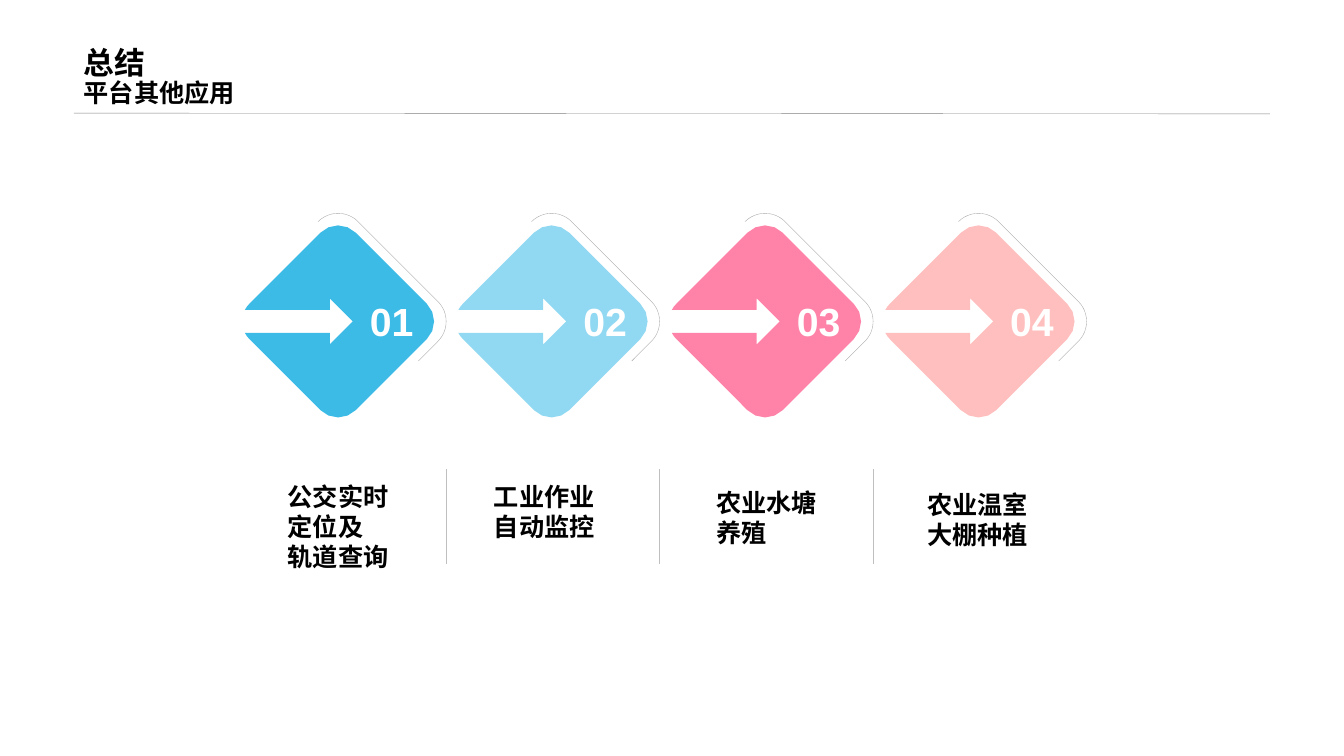
import math

import pptx
import pptx.dml.color
import pptx.enum.shapes
import pptx.enum.text
import pptx.util
from lxml import etree

Cm = pptx.util.Cm
Pt = pptx.util.Pt
qn = pptx.oxml.ns.qn

STEPS = [("01", "3CBBE7"), ("02", "91D8F2"), ("03", "FF83A8"), ("04", "FFBFBE")]
# Left, top, width and height in cm, then the paragraphs
CAPTIONS = [
    ((7, 12, 3.1, 2.46), "公交实时定位及\n轨道查询"),
    ((12.2, 12, 3.1, 2.46), "工业作业自动监控"),
    ((17.8, 12.15, 3.2, 2.46), "农业水塘养殖"),
    ((23.12, 12.2, 3.18, 1.73), "农业温室\n大棚种植"),
]
PITCH = 5.38


def color(value):
    return pptx.dml.color.RGBColor.from_string(value)


def add_text(shapes, area, text, sizes, ink="000000", wrap=True):
    box = shapes.add_textbox(*[Cm(length) for length in area])
    frame = box.text_frame
    frame.word_wrap = wrap
    frame.text = text
    for para, size in zip(frame.paragraphs, sizes):
        for span in para.runs:
            span.font.name = "Arial"
            span.font.size = Pt(size)
            span.font.bold = True
            span.font.color.rgb = color(ink)
    return frame


def add_rule(page, start, end, ink):
    ends = [Cm(length) for length in (*start, *end)]
    rule = page.shapes.add_connector(pptx.enum.shapes.MSO_CONNECTOR.STRAIGHT, *ends)
    rule.line.color.rgb = color(ink)
    rule.line.width = Pt(0.25)
    etree.SubElement(rule._element.spPr, qn("a:effectLst"))


def arc(x, y, radius, start, end, pieces=4):
    """Points along a circle; degrees run clockwise from the right."""
    angles = [math.radians(start + (end - start) * i / pieces) for i in range(pieces + 1)]
    return [(x + radius * math.cos(a), y + radius * math.sin(a)) for a in angles]


def add_header(page, left, bottom, width):
    frame = add_text(page.shapes, (left, 0, width, bottom), "总结\n平台其他应用", (22, 18))
    frame.vertical_anchor = pptx.enum.text.MSO_ANCHOR.BOTTOM
    for para in frame.paragraphs:
        para.line_spacing = 0.9
    add_rule(page, (left, bottom), (left + width, bottom + 0.02), "808080")


def add_border(shapes, x, y, side):
    """Turned square whose single long dash covers the upper right."""
    corner = (Cm(x - side / 2), Cm(y - side / 2))
    kind = pptx.enum.shapes.MSO_SHAPE.ROUNDED_RECTANGLE
    border = shapes.add_shape(kind, *corner, Cm(side), Cm(side))
    border.adjustments[0] = 0.167
    border.rotation = 45
    border.shadow.inherit = False
    border.fill.background()
    border.line.color.rgb = color("A6A6A6")
    border.line.width = Pt(0.25)
    # Dash and gap in thousandths of a percent of the line width
    dashes = etree.SubElement(border.line._get_or_add_ln(), qn("a:custDash"))
    etree.SubElement(dashes, qn("a:ds"), d="64200000", sp="180000000")


def add_diamond(shapes, x, y, fill):
    """Rounded diamond with an arrow cut in from the left."""
    reach, radius, shaft, head = 1.79, 0.63, 0.29, 0.58
    cut = math.degrees(math.asin(shaft / radius))
    arrow = [(-0.21, shaft), (-0.21, head), (0.37, 0), (-0.21, -head), (-0.21, -shaft)]
    body = (
        arc(-reach, 0, radius, 180 + cut, 225, 2)
        + arc(0, -reach, radius, 225, 315)
        + arc(reach, 0, radius, -45, 45)
        + arc(0, reach, radius, 45, 135)
        + arc(-reach, 0, radius, 135, 180 - cut, 2)
        + arrow
    )
    # Draw as an upright square, then turn it
    turn = math.sqrt(0.5)
    spots = [(Cm(x + (dx + dy) * turn), Cm(y + (dy - dx) * turn)) for dx, dy in body]
    builder = shapes.build_freeform(*spots[0])
    builder.add_line_segments(spots[1:], close=True)
    diamond = builder.convert_to_shape()
    diamond.rotation = 45
    diamond.shadow.inherit = False
    diamond.fill.solid()
    diamond.fill.fore_color.rgb = color(fill)
    diamond.line.fill.background()


def add_step(page, x, y, number, fill):
    """Border, diamond and number around the centre (x, y)."""
    shapes = page.shapes.add_group_shape().shapes
    add_border(shapes, x, y, 4.27)
    add_diamond(shapes, x, y, fill)
    add_text(shapes, (x + 0.55, y - 0.74, 1.6, 1.42), number, (28,), "FFFFFF", False)


def add_captions(page, left, top, height):
    for i in range(len(CAPTIONS) - 1):
        x = left + i * PITCH
        add_rule(page, (x, top), (x, top + height), "BFBFBF")
    for area, text in CAPTIONS:
        add_text(page.shapes, area, text, (18, 18))


def main():
    deck = pptx.Presentation()
    deck.slide_width, deck.slide_height = Cm(33.87), Cm(19.05)
    page = deck.slides.add_slide(deck.slide_layouts[6])
    add_header(page, 1.86, 2.85, 30.14)
    for i, (number, fill) in enumerate(STEPS):
        add_step(page, 8.52 + i * PITCH, 8.1, number, fill)
    add_captions(page, 11.24, 11.83, 2.39)
    deck.save("out.pptx")


if __name__ == "__main__":
    main()
